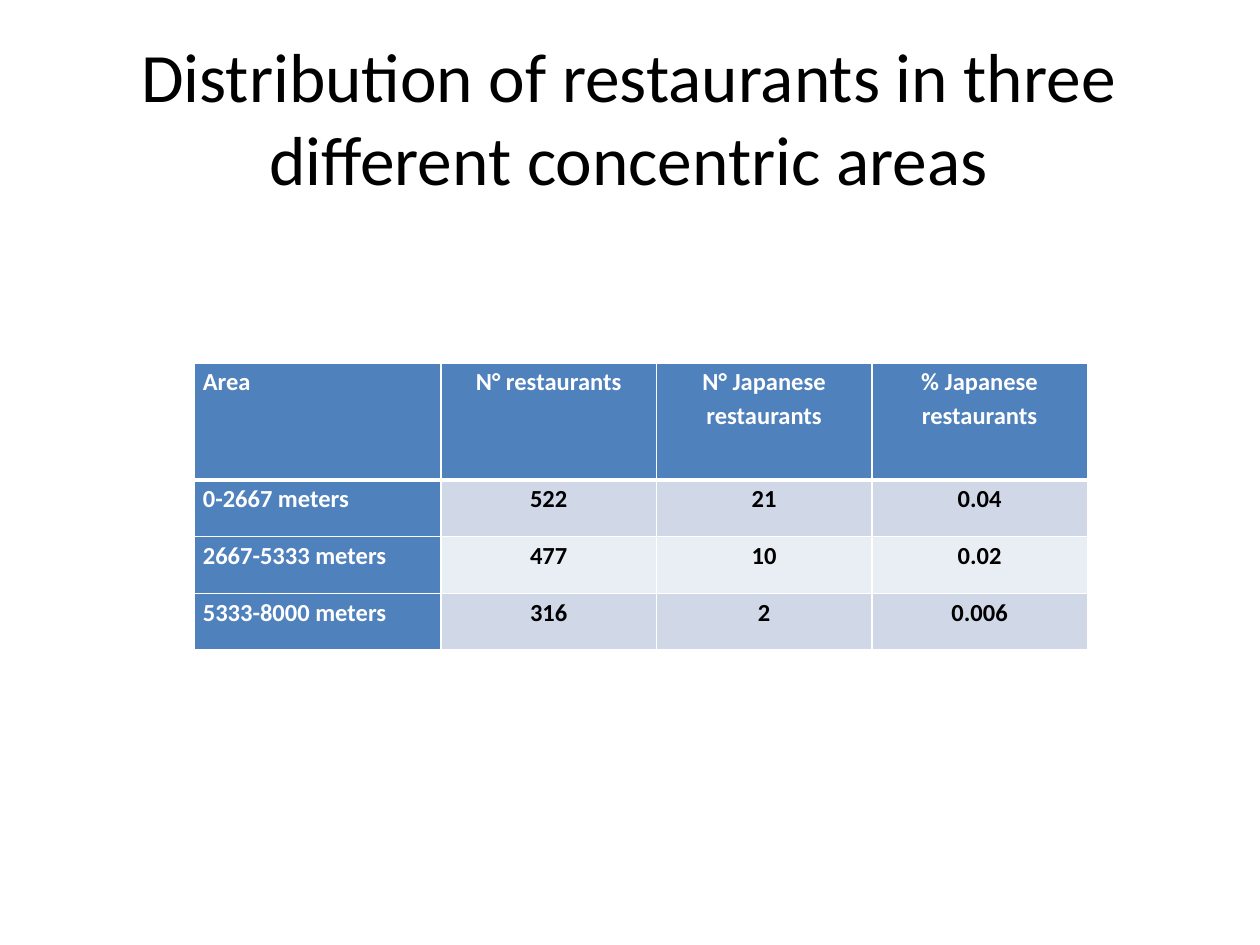
import dataclasses

import lxml.etree
import pptx
import pptx.dml.color
import pptx.enum.text
import pptx.oxml.ns
import pptx.util

Inches = pptx.util.Inches
Pt = pptx.util.Pt
RGB = pptx.dml.color.RGBColor.from_string
ALIGN = pptx.enum.text.PP_ALIGN
qn = pptx.oxml.ns.qn


@dataclasses.dataclass(frozen=True)
class Theme:
    font: str = "Calibri"
    text: str = "000000"
    inverse: str = "FFFFFF"
    border: str = "FFFFFF"
    header: str = "4F81BD"
    bands: tuple = ("D0D8E8", "E9EDF4")
    title_size: float = 39.6
    table_size: float = 14
    border_width: float = 1
    header_rule: float = 3


class SlideBuilder:
    def __init__(self, slide, theme):
        self.slide = slide
        self.theme = theme

    def format_text(self, p, size, color, align, bold=False):
        p.alignment = align
        for r in p.runs:
            r.font.name = self.theme.font
            r.font.size = Pt(size)
            r.font.bold = bold
            r.font.color.rgb = RGB(color)

    def title(self, text, left, top, width, height):
        sp = self.slide.shapes.add_textbox(
            Inches(left), Inches(top), Inches(width), Inches(height))
        tf = sp.text_frame
        tf.word_wrap = True
        tf.vertical_anchor = pptx.enum.text.MSO_ANCHOR.MIDDLE
        tf.text = text
        self.format_text(tf.paragraphs[0], self.theme.title_size,
                         self.theme.text, ALIGN.CENTER)

    def borders(self, cell, bottom, top):
        tc_pr = cell._tc.get_or_add_tcPr()
        width = self.theme.border_width
        for side, points in (("L", width), ("R", width), ("T", top), ("B", bottom)):
            ln = lxml.etree.SubElement(tc_pr, qn(f"a:ln{side}"), w=str(Pt(points)))
            fill = lxml.etree.SubElement(ln, qn("a:solidFill"))
            lxml.etree.SubElement(fill, qn("a:srgbClr"), val=self.theme.border)

    def cell(self, cell, text, row, col):
        theme = self.theme
        is_header = row == 0 or col == 0
        self.borders(cell,
                     bottom=theme.header_rule if row == 0 else theme.border_width,
                     top=theme.header_rule if row == 1 else theme.border_width)
        cell.fill.solid()
        cell.fill.fore_color.rgb = RGB(
            theme.header if is_header else theme.bands[(row - 1) % 2])
        cell.margin_left = cell.margin_right = Inches(0.07)
        cell.margin_top = cell.margin_bottom = 0
        cell.text_frame.text = text
        p = cell.text_frame.paragraphs[0]
        p.line_spacing = 1.15
        self.format_text(p, theme.table_size,
                         theme.inverse if is_header else theme.text,
                         ALIGN.LEFT if col == 0 else ALIGN.CENTER, bold=True)

    def table(self, rows, left, top, widths, heights):
        table = self.slide.shapes.add_table(
            len(rows), len(widths), Inches(left), Inches(top),
            Inches(sum(widths)), Inches(sum(heights))).table
        for column, width in zip(table.columns, widths):
            column.width = Inches(width)
        for row, height in zip(table.rows, heights):
            row.height = Inches(height)
        for i, values in enumerate(rows):
            for j, text in enumerate(values):
                self.cell(table.cell(i, j), text, i, j)


def main():
    prs = pptx.Presentation()
    prs.slide_width = Inches(10)
    prs.slide_height = Inches(7.5)
    s = SlideBuilder(prs.slides.add_slide(prs.slide_layouts[6]), Theme())
    s.title("Distribution of restaurants in three different concentric areas",
            0.49, 0.3, 9, 1.25)
    restaurants = [
        ("Area", "N° restaurants", "N° Japanese restaurants", "% Japanese restaurants"),
        ("0-2667 meters", "522", "21", "0.04"),
        ("2667-5333 meters", "477", "10", "0.02"),
        ("5333-8000 meters", "316", "2", "0.006"),
    ]
    s.table(restaurants, 1.54, 2.88,
            widths=[1.96] + [1.71] * 3, heights=[0.93] + [0.45] * 3)
    prs.save("out.pptx")


if __name__ == "__main__":
    main()
